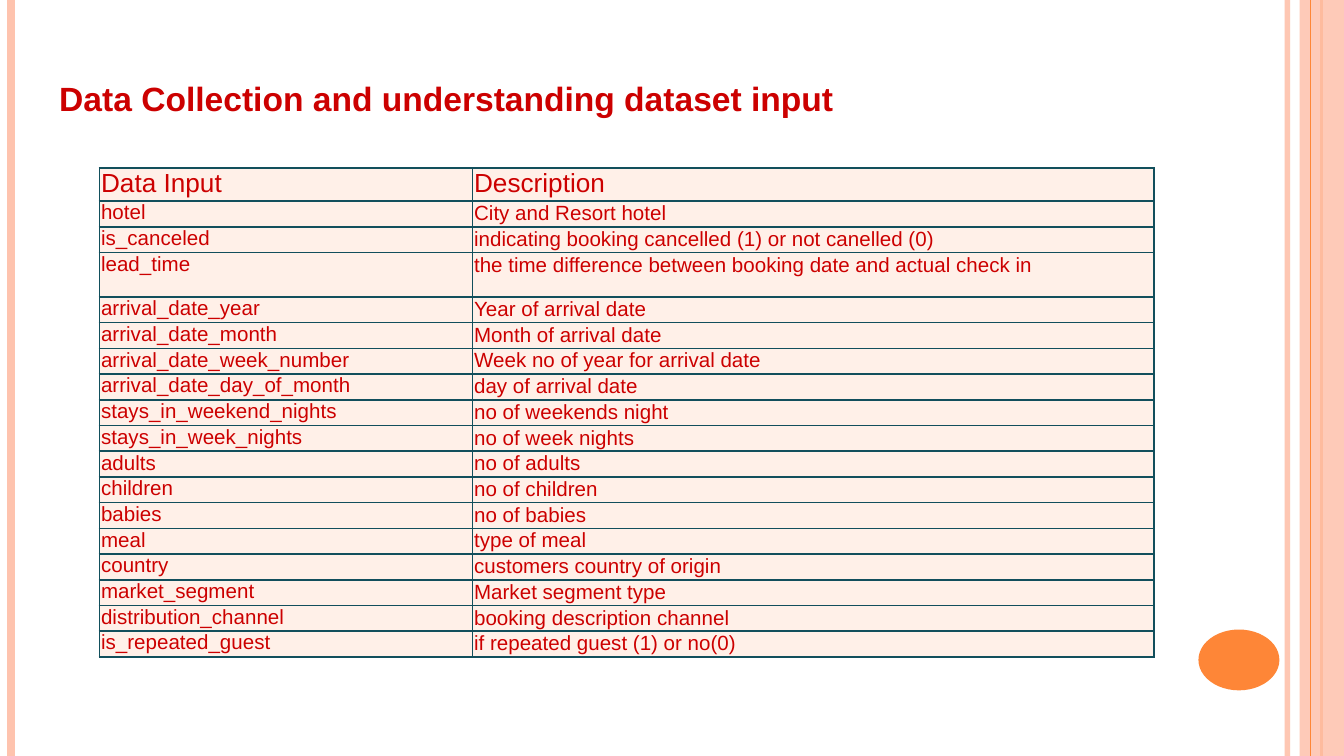
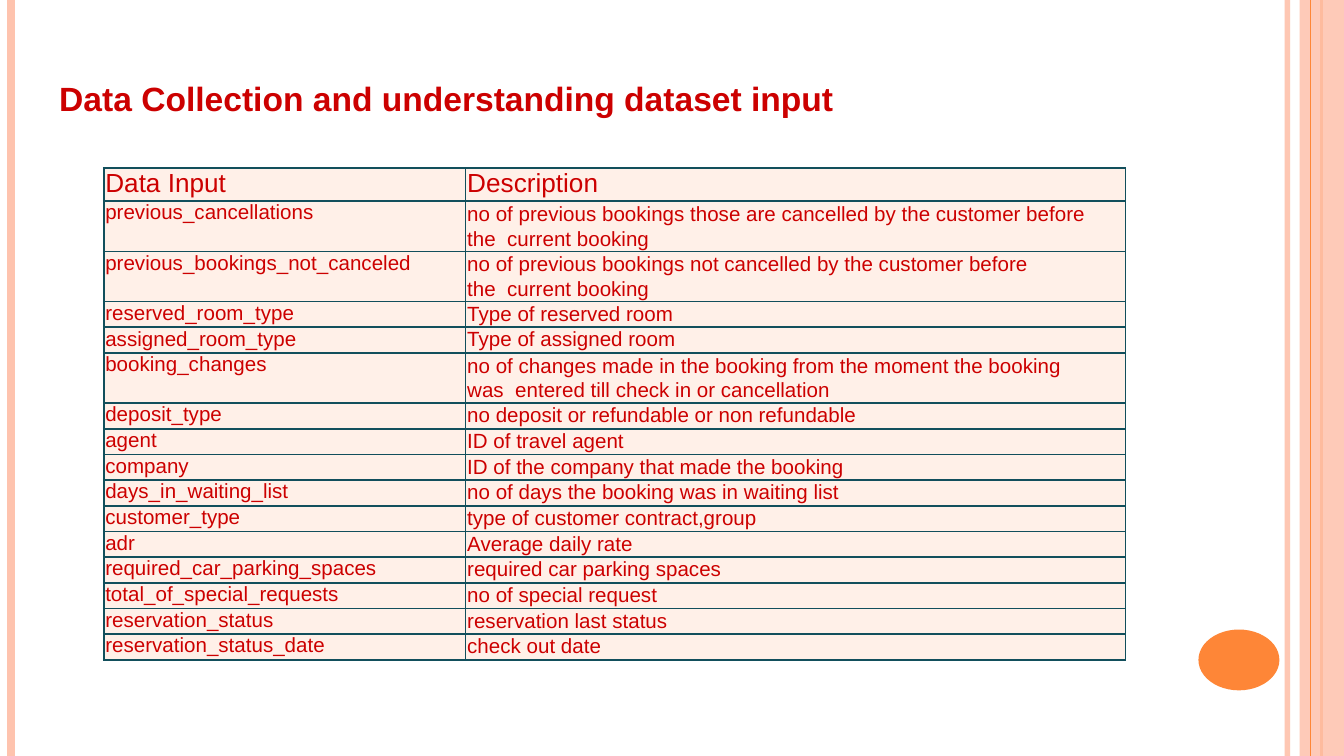
from lxml.etree import SubElement
from pptx import Presentation
from pptx.dml.color import RGBColor
from pptx.enum.shapes import MSO_CONNECTOR, MSO_SHAPE
from pptx.oxml.ns import qn
from pptx.util import Cm, Pt

FONT = "Arial"
RED = "CC0000"
PEACH = "FEC3AE"
ORANGE = "FE8637"
CELL_FILL = "FFF0E8"
BORDER = "124F5C"
TITLE = "Data Collection and understanding dataset input"
HEADER = ("Data Input", "Description")
HEADER_HEIGHT = Cm(0.62)

# Vertical rules: x in cm, colour, width in points, opacity in percent
RULES_BEHIND = [(24.33, PEACH, 3, 93), (0.21, PEACH, 4.5, 100), (24.97, ORANGE, 1.5, 100)]
RULES_IN_FRONT = [(24.77, ORANGE, 0.75, 100)]

# Tall rows map a row number to the space in points above its first cell's text
TABLES = [
    {
        "left": Cm(1.88), "widths": (Cm(7.05), Cm(12.88)), "height": Cm(9.24),
        "tall_height": Cm(0.84), "tall_rows": {3: 10.3}, "tall_spacing": 12.8,
        "rows": [
            ("hotel", "City and Resort hotel"),
            ("is_canceled", "indicating booking cancelled (1) or not canelled (0)"),
            ("lead_time", "the time difference between booking date and actual check in"),
            ("arrival_date_year", "Year of arrival date"),
            ("arrival_date_month", "Month of arrival date"),
            ("arrival_date_week_number", "Week no of year for arrival date"),
            ("arrival_date_day_of_month", "day of arrival date"),
            ("stays_in_weekend_nights", "no of weekends night"),
            ("stays_in_week_nights", "no of week nights"),
            ("adults", "no of adults"),
            ("children", "no of children"),
            ("babies", "no of babies"),
            ("meal", "type of meal"),
            ("country", "customers country of origin"),
            ("market_segment", "Market segment type"),
            ("distribution_channel", "booking description channel"),
            ("is_repeated_guest", "if repeated guest (1) or no(0)"),
        ],
    },
    {
        "left": Cm(1.96), "widths": (Cm(6.84), Cm(12.47)), "height": Cm(9.3),
        "tall_height": Cm(0.95), "tall_rows": {1: 13.4, 2: 13.4, 5: 13.4}, "tall_spacing": 13.2,
        "rows": [
            ("previous_cancellations",
             "no of previous bookings those are cancelled by the customer before "
             "the\u00a0\u00a0current booking"),
            ("previous_bookings_not_canceled",
             "no of previous bookings not cancelled by the customer before "
             "the\u00a0\u00a0current booking"),
            ("reserved_room_type", "Type of reserved room"),
            ("assigned_room_type", "Type of assigned room"),
            ("booking_changes",
             "no of changes made in the booking from the moment the booking "
             "was\u00a0\u00a0entered till check in or cancellation"),
            ("deposit_type", "no deposit or refundable or non refundable"),
            ("agent", "ID of travel agent"),
            ("company", "ID of the company that made the booking"),
            ("days_in_waiting_list", "no of days the booking was in waiting list"),
            ("customer_type", "type of customer contract,group"),
            ("adr", "Average daily rate"),
            ("required_car_parking_spaces", "required car parking spaces"),
            ("total_of_special_requests", "no of special request"),
            ("reservation_status", "reservation last status"),
            ("reservation_status_date", "check out date"),
        ],
    },
]


def paint(color_format, color, owner=None, opacity=100):
    """Set a hex colour, with transparency on the owner's fill or line if asked."""
    color_format.rgb = RGBColor.from_string(color)
    if opacity < 100:
        solid = owner._element.spPr.find(".//" + qn("a:srgbClr"))
        SubElement(solid, qn("a:alpha"), val=str(opacity * 1000))


def add_rules(slide, rules):
    """Draw full-height vertical lines."""
    for x, color, width, opacity in rules:
        rule = slide.shapes.add_connector(
            MSO_CONNECTOR.STRAIGHT, Cm(x), 0, Cm(x), presentation.slide_height)
        rule.line.width = Pt(width)
        paint(rule.line.color, color, rule, opacity)
        SubElement(rule._element.spPr, qn("a:effectLst"))


presentation = Presentation()
presentation.slide_width = Cm(25.4)
presentation.slide_height = Cm(14.29)

for content in TABLES:
    slide = presentation.slides.add_slide(presentation.slide_layouts[6])

    # Side bands and page disc
    add_rules(slide, RULES_BEHIND)
    band = slide.shapes.add_shape(
        MSO_SHAPE.RECTANGLE, Cm(24.56), 0, Cm(0.84), presentation.slide_height)
    disc = slide.shapes.add_shape(MSO_SHAPE.OVAL, Cm(22.65), Cm(11.9), Cm(1.53), Cm(1.15))
    for shape, color, opacity in [(band, PEACH, 87), (disc, ORANGE, 100)]:
        shape.shadow.inherit = False
        shape.fill.solid()
        paint(shape.fill.fore_color, color, shape, opacity)
        shape.line.fill.background()
    add_rules(slide, RULES_IN_FRONT)

    # Title
    title = slide.shapes.add_textbox(Cm(1.09), Cm(1.45), Cm(15), Cm(0.84))
    frame = title.text_frame
    frame.word_wrap = True
    frame.margin_left = Cm(0.03)
    frame.margin_top = Cm(0.03)
    frame.margin_right = frame.margin_bottom = 0
    paragraph = frame.paragraphs[0]
    paragraph.text = TITLE
    paragraph.space_before = Pt(1)
    paragraph.font.name = FONT
    paragraph.font.size = Pt(18)
    paragraph.font.bold = True
    paint(paragraph.font.color, RED)

    # Table: the plain rows share what the header and tall rows leave
    rows = [HEADER] + content["rows"]
    tall_rows = content["tall_rows"]
    plain_count = len(rows) - 1 - len(tall_rows)
    tall_total = content["tall_height"] * len(tall_rows)
    plain_height = (content["height"] - HEADER_HEIGHT - tall_total) // plain_count
    table = slide.shapes.add_table(
        len(rows), 2, content["left"], Cm(3.18),
        sum(content["widths"]), content["height"]).table
    table.first_row = False
    table.horz_banding = False
    for column, width in zip(table.columns, content["widths"]):
        column.width = width

    for row_number, texts in enumerate(rows):
        is_header = row_number == 0
        is_tall = row_number in tall_rows
        if is_header:
            height, spacings, space_before = HEADER_HEIGHT, (16.2, 16.1), 0.1
        elif is_tall:
            height, spacings = content["tall_height"], (12.4, content["tall_spacing"])
            space_before = tall_rows[row_number]
        else:
            height, spacings, space_before = plain_height, (12.4, 12.8), 0.3
        table.rows[row_number].height = height

        for column_number, text in enumerate(texts):
            cell = table.cell(row_number, column_number)
            cell.margin_left = Cm(0.03)
            cell.margin_top = cell.margin_right = cell.margin_bottom = 0
            paragraph = cell.text_frame.paragraphs[0]
            paragraph.text = text
            paragraph.line_spacing = Pt(spacings[column_number])
            paragraph.space_before = Pt(space_before if column_number == 0 else 0)
            paragraph.font.name = FONT
            paragraph.font.size = Pt(14 if is_header else 11)
            paint(paragraph.font.color, RED)

            properties = cell._tc.get_or_add_tcPr()
            for side in ("a:lnL", "a:lnR", "a:lnT", "a:lnB"):
                border = SubElement(properties, qn(side), w=str(Pt(1)))
                fill = SubElement(border, qn("a:solidFill"))
                SubElement(fill, qn("a:srgbClr"), val=BORDER)
            cell.fill.solid()
            paint(cell.fill.fore_color, CELL_FILL)

presentation.save("out.pptx")
